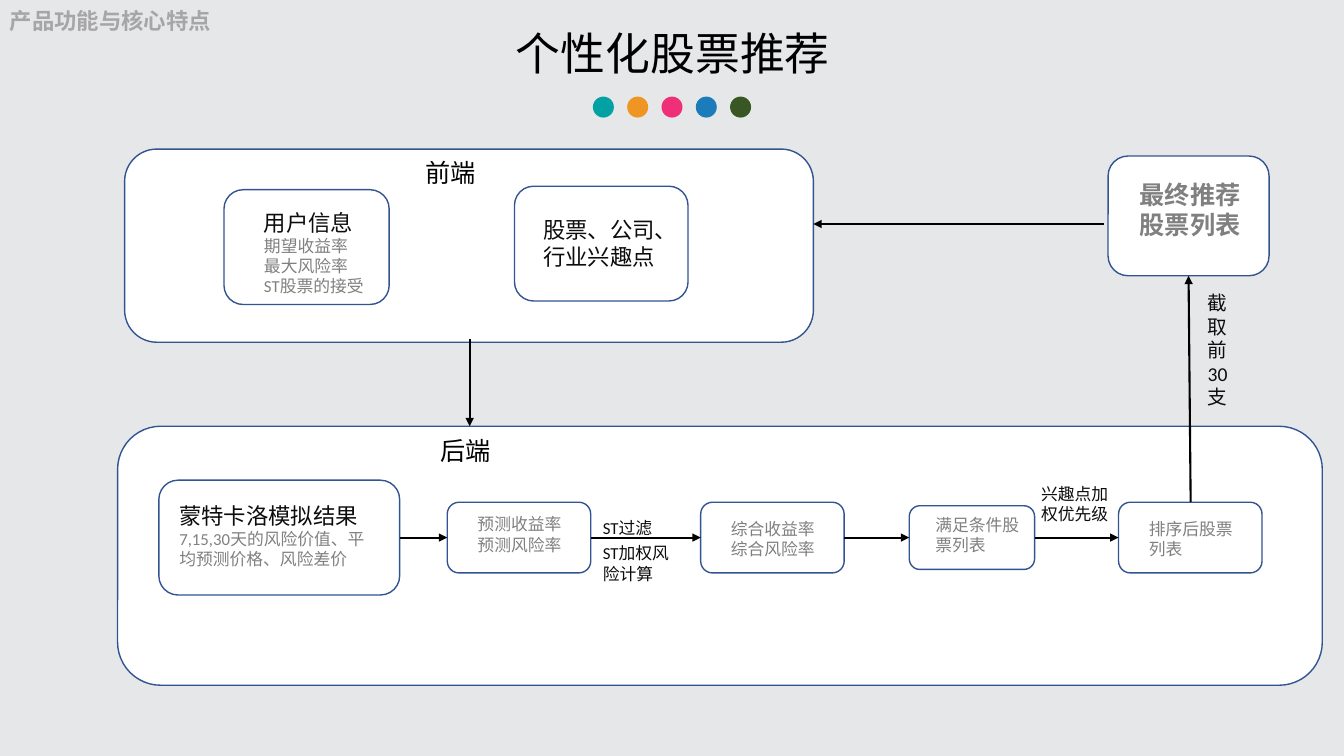
from lxml.etree import SubElement
from pptx import Presentation
from pptx.dml.color import RGBColor
from pptx.enum.shapes import MSO_CONNECTOR as CONN, MSO_SHAPE as SHAPE
from pptx.enum.text import MSO_AUTO_SIZE as FIT
from pptx.oxml.ns import qn
from pptx.util import Pt

HEAD = {"size": 16, "color": "0D0D0D"}
DETAIL = {"size": 12, "color": "808080"}
NOTE = {"size": 12, "color": "0D0D0D"}
PANEL_TITLE = {"size": 18, "color": "000000"}


def rgb(value):
    return RGBColor.from_string(value)


def add_text(slide, box, paras):
    sp = slide.shapes.add_textbox(*map(Pt, box))
    tf = sp.text_frame
    tf.word_wrap = True
    tf.auto_size = FIT.SHAPE_TO_FIT_TEXT
    for i, (text, fmt) in enumerate(paras):
        p = tf.paragraphs[0] if i == 0 else tf.add_paragraph()
        r = p.add_run()
        r.text = text
        values = {"name": "Calibri", "bold": False} | fmt
        r.font.color.rgb = rgb(values.pop("color"))
        values["size"] = Pt(values["size"])
        for key, value in values.items():
            setattr(r.font, key, value)


def add_filled(slide, kind, box, fill, line=None):
    sp = slide.shapes.add_shape(kind, *map(Pt, box))
    sp.shadow.inherit = False
    sp.fill.solid()
    sp.fill.fore_color.rgb = rgb(fill)
    if line:
        sp.line.color.rgb = rgb(line)
        sp.line.width = Pt(1)
    else:
        sp.line.fill.background()


def add_panel(slide, box):
    add_filled(slide, SHAPE.ROUNDED_RECTANGLE, box, "FFFFFF", "325491")


def add_card(slide, box, inset, paras):
    x, y, w, h = box
    dx, dy, text_w, text_h = inset
    add_panel(slide, box)
    add_text(slide, (x + dx, y + dy, text_w, text_h), paras)


def add_arrow(slide, x1, y1, x2, y2):
    cx = slide.shapes.add_connector(CONN.STRAIGHT, *map(Pt, (x1, y1, x2, y2)))
    cx.line.color.rgb = rgb("000000")
    cx.line.width = Pt(1.5)
    SubElement(cx.line._get_or_add_ln(), qn("a:tailEnd"), type="triangle")
    SubElement(cx._element.spPr, qn("a:effectLst"))


def add_header(slide, box):
    x, y, w, h = box
    add_text(slide, (x, y + 1.5, 355, 26.5),
             [("产品功能与核心特点", {"size": 16, "color": "A6A6A6", "bold": True, "name": "Cabin"})])
    add_text(slide, (x + 361.5, y + 14.5, 573, 46),
             [("个性化股票推荐", {"size": 32, "color": "000000", "name": "Cabin"})])
    dot, step = 15, 24.5
    colors = ["03A1A4", "EE9524", "EF3078", "1C7CBB", "385723"]
    left = x + (w - dot - step * (len(colors) - 1)) / 2
    for i, color in enumerate(colors):
        add_filled(slide, SHAPE.OVAL, (left + i * step, y + 69, dot, dot), color)


def add_front_end(slide, box):
    x, y, w, h = box
    add_panel(slide, box)
    add_text(slide, (x + 208, y + 2, 55.5, 29), [("前端", PANEL_TITLE)])
    add_card(slide, (x + 71, y + 29, 118, 82), (21.5, 10, 93.5, 70.5),
             [("用户信息", HEAD), ("期望收益率", DETAIL), ("最大风险率", DETAIL), ("ST股票的接受", DETAIL)])
    add_card(slide, (x + 278.5, y + 26.5, 124, 82), (13.5, 18, 106.5, 65.5),
             [("股票、公司、行业兴趣点", HEAD)])


def add_back_end(slide, box):
    x, y, w, h = box
    mid = y + 79.5
    add_panel(slide, box)
    add_text(slide, (x + 223.5, y + 3, 55.5, 29), [("后端", PANEL_TITLE)])
    steps = [
        (29.5, 172, 82, (7.5, 12, 157.5, 70.5),
         [("蒙特卡洛模拟结果", HEAD), ("7,15,30天的风险价值、平均预测价格、风险差价", DETAIL)]),
        (235.5, 102.5, 50.5, (14.5, 5, 85.5, 36), [("预测收益率预测风险率", DETAIL)]),
        (416.5, 102.5, 50.5, (14.5, 8, 85.5, 36), [("综合收益率综合风险率", DETAIL)]),
        (565.5, 89.5, 45.5, (11.5, 3, 75, 36), [("满足条件股票列表", DETAIL)]),
        (715, 102.5, 50.5, (14.5, 8, 85.5, 36), [("排序后股票列表", DETAIL)]),
    ]
    for dx, card_w, card_h, inset, paras in steps:
        add_card(slide, (x + dx, mid - card_h / 2, card_w, card_h), inset, paras)
    for (dx, card_w, *_), (next_dx, *_) in zip(steps, steps[1:]):
        add_arrow(slide, x + dx + card_w, mid, x + next_dx, mid)
    add_text(slide, (x + 339.5, mid - 18, 105, 21.5), [("ST过滤", NOTE)])
    add_text(slide, (x + 339.5, mid + 0.5, 62.5, 36), [("ST加权风", NOTE), ("险计算", NOTE)])
    add_text(slide, (x + 652.5, mid - 42, 73.5, 36), [("兴趣点加权优先级", NOTE)])


def add_result(slide, box):
    add_card(slide, box, (15.5, 13, 96, 51),
             [("最终推荐股票列表", {"size": 18, "color": "808080", "bold": True})])


def add_flow(slide, front, back, result):
    front_right = front[0] + front[2]
    result_x, result_bottom = result[0], result[1] + result[3]
    add_arrow(slide, 335.5, front[1] + front[3] - 2, 335.5, back[1])
    add_arrow(slide, result_x + 59, back[1] + 54, result_x + 57.5, result_bottom)
    add_arrow(slide, result_x - 3, 160, front_right, 160)
    add_text(slide, (result_x + 64, result_bottom + 7.5, 34.5, 92),
             [("截取前30支", {"size": 14, "color": "0D0D0D"})])


def main():
    prs = Presentation()
    prs.slide_width, prs.slide_height = Pt(960), Pt(540)
    slide = prs.slides.add_slide(prs.slide_layouts[6])
    slide.background.fill.solid()
    slide.background.fill.fore_color.rgb = rgb("E6E7E9")
    front = (89, 106.5, 492, 138)
    back = (84, 304.5, 860.5, 185)
    result = (791.5, 111.5, 115, 85.5)
    add_header(slide, (0, 0, 960, 90))
    add_front_end(slide, front)
    add_back_end(slide, back)
    add_result(slide, result)
    add_flow(slide, front, back, result)
    prs.save("out.pptx")


if __name__ == "__main__":
    main()
